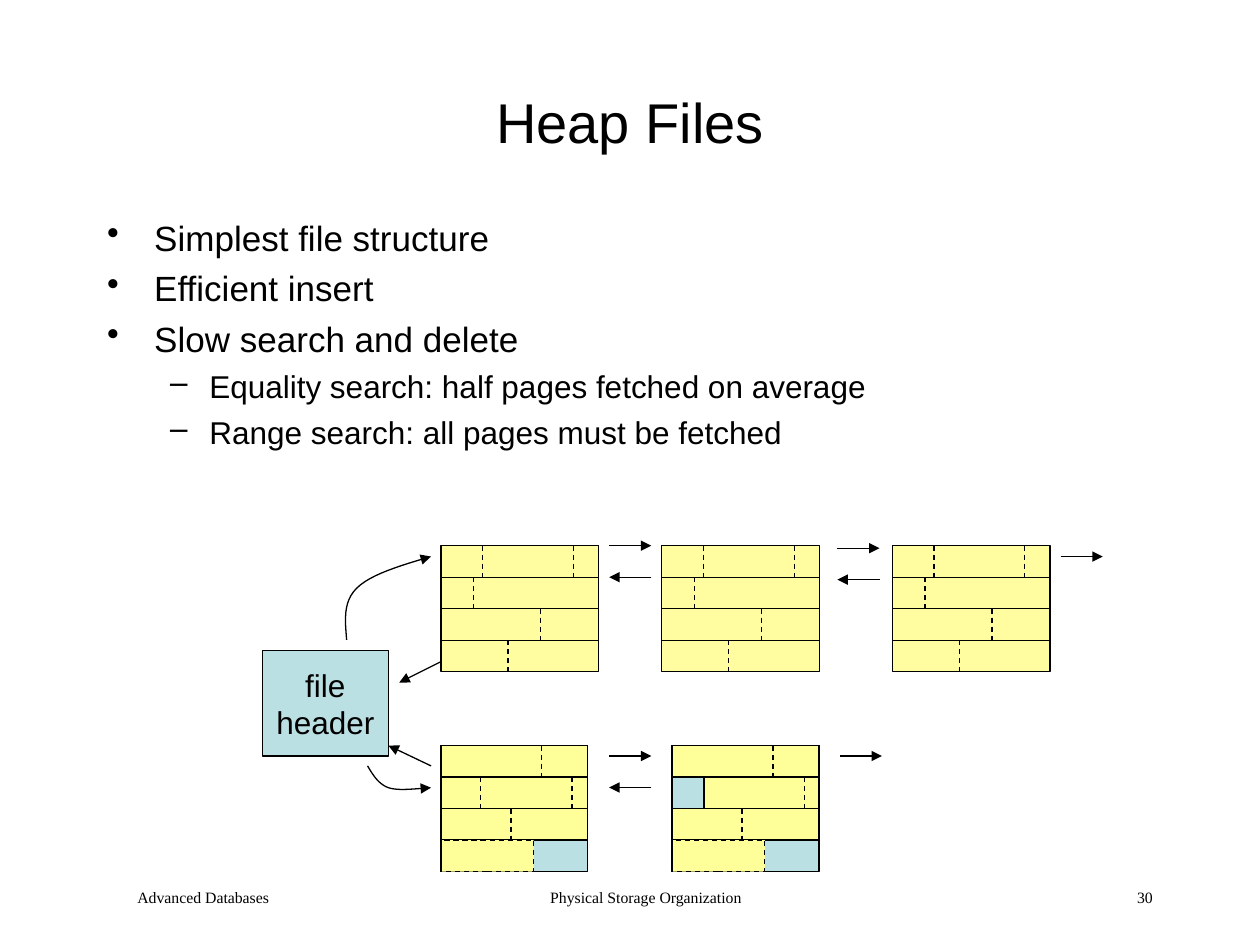
from lxml import etree
from pptx import Presentation, util as u
from pptx.dml.color import RGBColor
from pptx.enum import dml, shapes, text
from pptx.oxml.ns import qn

BLACK = RGBColor(0, 0, 0)
BLUE = RGBColor(0xBB, 0xE0, 0xE3)
CREAM = RGBColor(0xFF, 0xFD, 0xA0)
YELLOW = RGBColor(0xFF, 0xFF, 0x99)
PAGE_H = 2.54
ROW = PAGE_H / 4
DATA_W, DATA_Y = 3.18, 11
FREE_W, FREE_Y = 2.96, 15.03
LEFT, CENTER, RIGHT = text.PP_ALIGN.LEFT, text.PP_ALIGN.CENTER, text.PP_ALIGN.RIGHT


def style_line(sp, dashed=False, arrow=False):
    """Give a shape or connector a thin black line."""
    sp.line.color.rgb = BLACK
    sp.line.width = u.Pt(0.75)
    if dashed:
        sp.line.dash_style = dml.MSO_LINE.DASH
    if arrow:
        etree.SubElement(sp.line._get_or_add_ln(), qn("a:tailEnd"), type="triangle")


def add_rect(s, x, y, w, h, color, dashed=False):
    """Add an outlined, filled rectangle."""
    sp = s.shapes.add_shape(shapes.MSO_SHAPE.RECTANGLE, u.Cm(x), u.Cm(y), u.Cm(w), u.Cm(h))
    sp.shadow.inherit = False
    sp.fill.solid()
    sp.fill.fore_color.rgb = color
    style_line(sp, dashed)
    return sp


def add_line(s, x1, y1, x2, y2, dashed=False, arrow=False):
    """Add a straight connector."""
    sp = s.shapes.add_connector(shapes.MSO_CONNECTOR.STRAIGHT,
                                u.Cm(x1), u.Cm(y1), u.Cm(x2), u.Cm(y2))
    style_line(sp, dashed, arrow)
    etree.SubElement(sp._element.spPr, qn("a:effectLst"))
    return sp


def add_curve(s, points, steps=12):
    """Add an open arrow through a chain of cubic Bezier segments."""
    chain = [points[0]]
    for i in range(0, len(points) - 1, 3):
        a, b, c, d = points[i:i + 4]
        for t in (n / steps for n in range(1, steps + 1)):
            v = 1 - t
            chain.append(tuple(v**3 * a[k] + 3 * v * v * t * b[k] + 3 * v * t * t * c[k]
                               + t**3 * d[k] for k in (0, 1)))
    chain = [(u.Cm(x), u.Cm(y)) for x, y in chain]
    builder = s.shapes.build_freeform(*chain[0])
    builder.add_line_segments(chain[1:], close=False)
    sp = builder.convert_to_shape()
    sp.shadow.inherit = False
    sp.fill.background()
    style_line(sp, arrow=True)


def add_run(p, words, size, font="Arial"):
    """Append a black run to a paragraph."""
    r = p.add_run()
    r.text = words
    r.font.size = u.Pt(size)
    r.font.name = font
    r.font.color.rgb = BLACK


def add_text(s, x, y, w, h):
    """Add a wrapping text box and return its frame."""
    tf = s.shapes.add_textbox(u.Cm(x), u.Cm(y), u.Cm(w), u.Cm(h)).text_frame
    tf.word_wrap = True
    return tf


def indent(p, margin, first=0):
    """Set the left margin and first-line indent of a paragraph."""
    pPr = p._p.get_or_add_pPr()
    pPr.set("marL", str(u.Cm(margin)))
    pPr.set("indent", str(u.Cm(first)))
    return pPr


def add_bullets(s, items):
    """Add the bulleted list from (level, words) pairs."""
    styles = [(0.95, -0.95, 5, "•", 20), (2.06, -0.79, 4.5, "–", 18)]
    tf = add_text(s, 1.91, 4.23, 21.59, 13.12)
    for i, (level, words) in enumerate(items):
        margin, first, before, mark, size = styles[level]
        p = tf.add_paragraph() if i else tf.paragraphs[0]
        p.level = level
        p.space_before = u.Pt(before)
        etree.SubElement(indent(p, margin, first), qn("a:buChar"), char=mark)
        add_run(p, words, size)


def add_footer(s, x, w, words, align):
    """Add one footer field."""
    p = add_text(s, x, 17.78, w, 0.85).paragraphs[0]
    p.alignment = align
    indent(p, 0.61)
    add_run(p, words, 9, "Times New Roman")


def add_header(s):
    """Add the file header box."""
    sp = add_rect(s, 5.29, 13.12, 2.54, 2.12, BLUE)
    tf = sp.text_frame
    tf.word_wrap = False
    tf.vertical_anchor = text.MSO_ANCHOR.MIDDLE
    for p, words in ((tf.paragraphs[0], "file"), (tf.add_paragraph(), "header")):
        p.alignment = CENTER
        add_run(p, words, 18)


def add_splits(s, x, y, splits):
    """Add dashed field borders from (row, offset) pairs."""
    for row, dx in splits:
        add_line(s, x + dx, y + row * ROW, x + dx, y + (row + 1) * ROW, dashed=True)


def add_data_page(s, x):
    """Add a full page of four records."""
    page = add_rect(s, x, DATA_Y, DATA_W, PAGE_H, CREAM)
    for row in (1, 2, 3):
        y = DATA_Y + row * ROW
        border = add_line(s, x, y, x + DATA_W, y)
        if row == 2:
            border.begin_connect(page, 1)
            border.end_connect(page, 3)
    add_splits(s, x, DATA_Y, [(0, 0.84), (0, 2.67), (1, 0.66), (2, 2.01), (3, 1.35)])


def add_free_page(s, x, gap, splits):
    """Add a page with free space, whose second record starts after a gap."""
    add_rect(s, x, FREE_Y, FREE_W, PAGE_H, BLUE)
    for row, start in enumerate((0, gap, 0)):
        add_rect(s, x + start, FREE_Y + row * ROW, FREE_W - start, ROW, YELLOW)
    add_rect(s, x, FREE_Y + 3 * ROW, 1.87, ROW, YELLOW, dashed=True)
    add_line(s, x, FREE_Y + 3 * ROW, x, FREE_Y + PAGE_H)
    add_splits(s, x, FREE_Y, [(0, 2.03), (2, 1.41)] + splits)


def add_links(s, x, y, both=True):
    """Add a next arrow and, if wanted, a previous arrow below it."""
    end = x + 0.85
    add_line(s, x, y, end, y, arrow=True)
    if both:
        add_line(s, end, y + ROW, x, y + ROW, arrow=True)


def main():
    """Build the slide and save it."""
    prs = Presentation()
    prs.slide_width, prs.slide_height = u.Cm(25.4), u.Cm(19.05)
    s = prs.slides.add_slide(prs.slide_layouts[6])

    tf = add_text(s, 1.91, 0.85, 21.59, 3.18)
    tf.vertical_anchor = text.MSO_ANCHOR.MIDDLE
    tf.paragraphs[0].alignment = CENTER
    add_run(tf.paragraphs[0], "Heap Files", 32)
    add_bullets(s, [(0, "Simplest file structure"),
                    (0, "Efficient insert"),
                    (0, "Slow search and delete"),
                    (1, "Equality search: half pages fetched on average"),
                    (1, "Range search: all pages must be fetched")])

    add_header(s)
    for x in (8.89, 13.34, 17.99):
        add_data_page(s, x)
    add_free_page(s, 8.89, 0, [(1, 0.79), (1, 2.64)])
    add_free_page(s, 13.55, 0.64, [(1, 2.67)])

    for x, y, both in ((12.28, DATA_Y, True), (16.88, 11.05, True), (21.38, 11.22, False),
                       (12.28, 15.24, True), (16.93, 15.24, False)):
        add_links(s, x, y, both)
    add_line(s, 8.69, 15.44, 7.83, 15.03, arrow=True)
    add_curve(s, [(6.99, 12.9), (6.96, 12.52), (6.91, 12.14), (7.19, 11.86),
                  (7.47, 11.58), (8.08, 11.4), (8.69, 11.22)])
    add_curve(s, [(8.89, 13.34), (8.89, 13.34), (8.47, 13.55), (8.05, 13.76)])
    add_curve(s, [(7.41, 15.44), (7.52, 15.62), (7.62, 15.8), (7.83, 15.88),
                  (8.05, 15.95), (8.36, 15.9), (8.69, 15.88)])

    add_footer(s, 8.69, 8.05, "Physical Storage Organization", CENTER)
    add_footer(s, 18.21, 5.28, "30", RIGHT)
    add_footer(s, 1.91, 5.28, "Advanced Databases", LEFT)
    prs.save("out.pptx")


if __name__ == "__main__":
    main()
